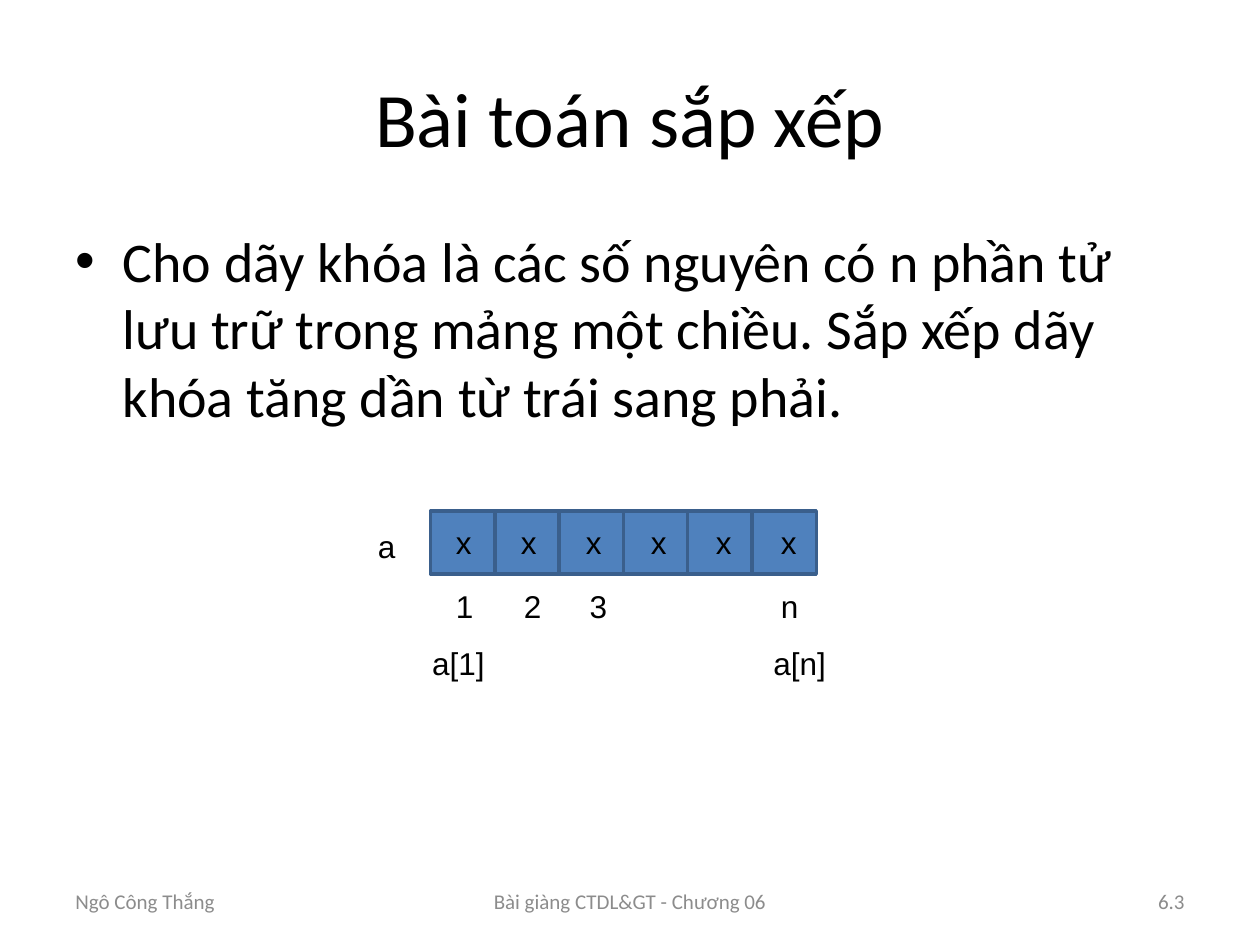
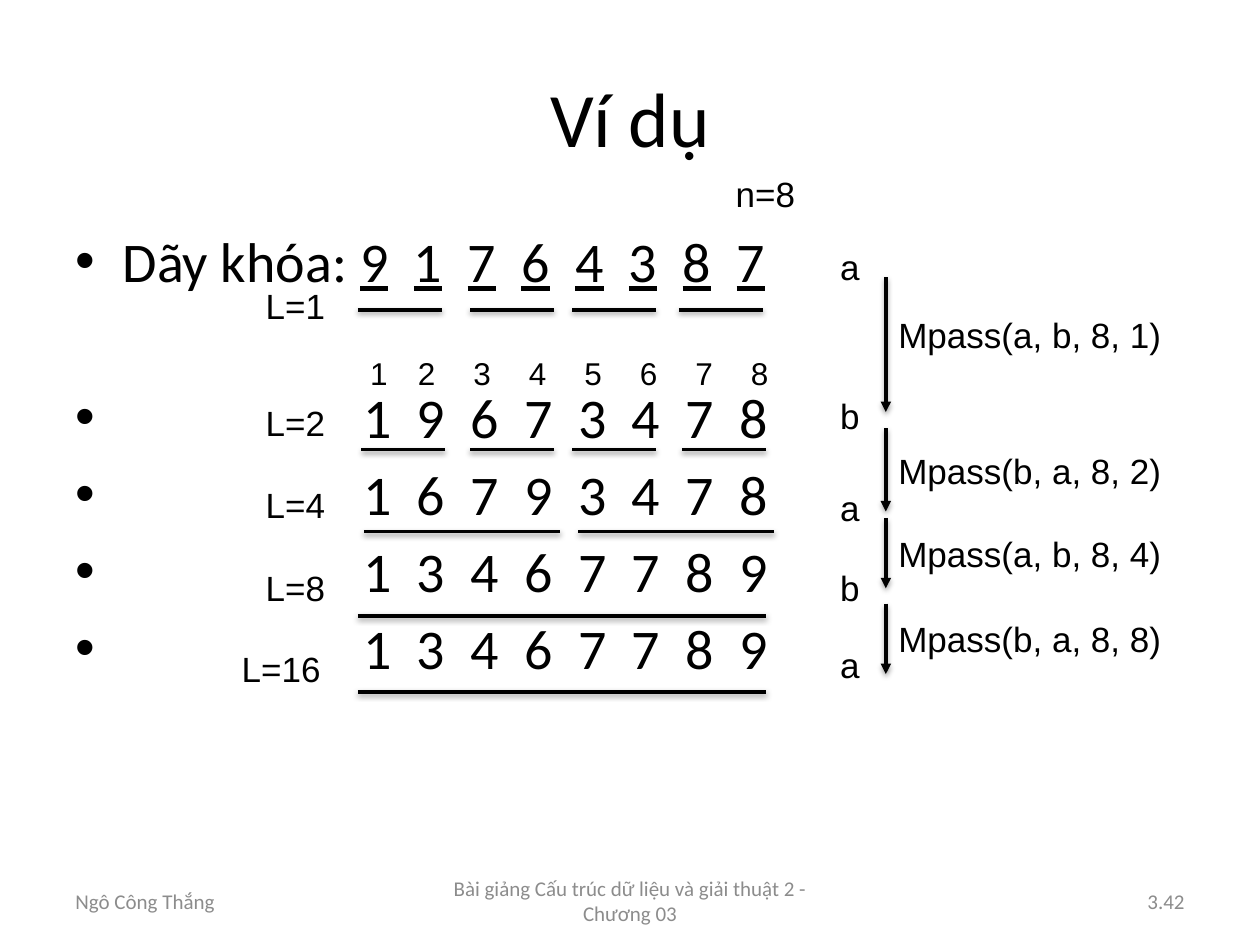
"""Build two slides on sorting: the problem and a merge sort example."""
from dataclasses import dataclass

from lxml.etree import SubElement
from pptx import Presentation
from pptx.dml.color import RGBColor
from pptx.enum.shapes import MSO_CONNECTOR, MSO_SHAPE
from pptx.enum.text import MSO_ANCHOR, PP_ALIGN
from pptx.oxml.ns import qn
from pptx.util import Pt


@dataclass(frozen=True)
class Theme:
    ink: str = "000000"
    grey: str = "8C8C8C"
    fill: str = "4F81BD"
    edge: str = "3A5F8C"
    head: str = "Calibri"
    plain: str = "Arial"
    title: int = 44
    body: int = 32
    step: int = 20
    label: int = 18
    foot: int = 12
    line: int = 2


THEME = Theme()
HANG = 27


def color(code):
    return RGBColor.from_string(code)


def add_run(par, words, size, face=THEME.head, ink=THEME.ink, under=False):
    run = par.add_run()
    run.text = words
    run.font.size = Pt(size)
    run.font.name = face
    run.font.color.rgb = color(ink)
    if under:
        run.font.underline = True
    return run


def text(slide, words, box, *, size, face=THEME.head, ink=THEME.ink,
         align=PP_ALIGN.LEFT, anchor=MSO_ANCHOR.TOP):
    frame = slide.shapes.add_textbox(*map(Pt, box)).text_frame
    frame.word_wrap = True
    frame.vertical_anchor = anchor
    par = frame.paragraphs[0]
    par.alignment = align
    add_run(par, words, size, face, ink)
    return frame


def label(slide, words, left, top, width=21.6, size=THEME.label):
    text(slide, words, (left, top, width, size * 1.6), size=size, face=THEME.plain)


def bullet(par, indent=HANG):
    props = par._p.get_or_add_pPr()
    props.set("marL", str(Pt(indent)))
    props.set("indent", str(Pt(-indent)))
    SubElement(props, qn("a:buFont"), typeface="Arial")
    SubElement(props, qn("a:buChar"), char="•")


def keys(par, digits, under=False):
    for spot, digit in enumerate(digits):
        if spot:
            gap = add_run(par, " ", THEME.body)
            gap.font._element.set("spc", "723")
        add_run(par, digit, THEME.body, under=under)


def line(slide, start, end, arrow=False):
    link = slide.shapes.add_connector(
        MSO_CONNECTOR.STRAIGHT, *map(Pt, (*start, *end)))
    link.line.color.rgb = color(THEME.ink)
    link.line.width = Pt(THEME.line)
    props = link._element.spPr
    if arrow:
        SubElement(props.find(qn("a:ln")), qn("a:tailEnd"), type="triangle")
    effects = SubElement(props, qn("a:effectLst"))
    shade = SubElement(effects, qn("a:outerShdw"), blurRad="40000",
                       dist="20000", dir="5400000", rotWithShape="0")
    tint = SubElement(shade, qn("a:srgbClr"), val=THEME.ink)
    SubElement(tint, qn("a:alpha"), val="38000")


def cell(slide, left, top, width, height):
    box = slide.shapes.add_shape(
        MSO_SHAPE.RECTANGLE, *map(Pt, (left, top, width, height)))
    box.shadow.inherit = False
    box.fill.solid()
    box.fill.fore_color.rgb = color(THEME.fill)
    box.line.color.rgb = color(THEME.edge)
    box.line.width = Pt(THEME.line)


def new_slide(deck, title, course, number):
    slide = deck.slides.add_slide(deck.slide_layouts[6])
    text(slide, title, (36, 21.6, 648, 90), size=THEME.title,
         align=PP_ALIGN.CENTER, anchor=MSO_ANCHOR.MIDDLE)
    for words, left, width, align in (
            ("Ngô Công Thắng", 36, 168, PP_ALIGN.LEFT),
            (course, 246, 228, PP_ALIGN.CENTER),
            (number, 516, 168, PP_ALIGN.RIGHT)):
        text(slide, words, (left, 500.5, width, 28.75), size=THEME.foot,
             ink=THEME.grey, align=align, anchor=MSO_ANCHOR.MIDDLE)
    return slide


def problem(deck):
    slide = new_slide(deck, "Bài toán sắp xếp",
                      "Bài giàng CTDL&GT - Chương 06", "6.3")
    body = text(slide, "Cho dãy khóa là các số nguyên có n phần tử lưu trữ trong "
                "mảng một chiều. Sắp xếp dãy khóa tăng dần từ trái sang phải.",
                (36, 126, 648, 121.7), size=THEME.body)
    bullet(body.paragraphs[0])
    count, side = 6, 36.75
    for spot in range(count):
        cell(slide, 246 + spot * side, 292, side, 36)
    for spot in range(count):
        label(slide, "x", 253.4 + spot * 37.15, 295.2)
    for index, left in zip("123n", (253.4, 292.3, 329.8, 439.2)):
        label(slide, index, left, 331.9)
    label(slide, "a", 208.8, 297.4)
    label(slide, "a[1]", 239.8, 364.3, 51.8)
    label(slide, "a[n]", 434.9, 364.3, 51.8)


def example(deck):
    slide = new_slide(deck, "Ví dụ",
                      "Bài giảng Cấu trúc dữ liệu và giải thuật 2 - Chương 03",
                      "3.42")
    body = text(slide, "Dãy khóa: ", (36, 126, 430.5, 356.4), size=THEME.body)
    bullet(body.paragraphs[0])
    keys(body.paragraphs[0], "91764387", under=True)
    for spot, digits in enumerate(("19673478", "16793478", "13467789", "13467789")):
        par = body.add_paragraph()
        par.space_before = Pt(5.7 if spot else 50.5)
        bullet(par, 164.4)
        keys(par, digits)

    for top, width, lefts in (
            (177.1, 48, (204.5, 268.6, 326.9, 388)),
            (257, 48, (206.5, 268.6, 326.9, 389.7)),
            (303.8, 112, (208, 330.5)),
            (352, 233.3, (204.5,)),
            (395.3, 233.3, (204.5,))):
        for left in lefts:
            line(slide, (left, top), (left + width, top))

    label(slide, "1", 204.5, 198.7)
    for spot, index in enumerate("2345678"):
        label(slide, index, 231.8 + spot * 31.7, 198.7)

    for name, top in zip("ababa", (136.8, 221.8, 274.3, 320.4, 364.3)):
        label(slide, name, 473, top, size=THEME.step)

    for call, top, start, end in (
            ("Mpass(a, b, 8, 1)", 175.7, 158.4, 235.5),
            ("Mpass(b, a, 8, 2)", 253.4, 244.8, 292.3),
            ("Mpass(a, b, 8, 4)", 301, 296, 336.2),
            ("Mpass(b, a, 8, 8)", 349.2, 344.9, 385.2)):
        line(slide, (506.2, start), (506.2, end), arrow=True)
        label(slide, call, 506.2, top, 168, THEME.step)

    for words, left, top, width in (
            ("L=1", 144.7, 159.1, 52.6), ("L=2", 144.7, 226.1, 52.6),
            ("L=4", 144.7, 272.9, 52.6), ("L=8", 144.7, 320.4, 52.6),
            ("L=16", 131, 366.5, 65.5), ("n=8", 413.3, 95, 52.6)):
        label(slide, words, left, top, width, THEME.step)


def main():
    deck = Presentation()
    deck.slide_width, deck.slide_height = Pt(720), Pt(540)
    problem(deck)
    example(deck)
    deck.save("out.pptx")


if __name__ == "__main__":
    main()
